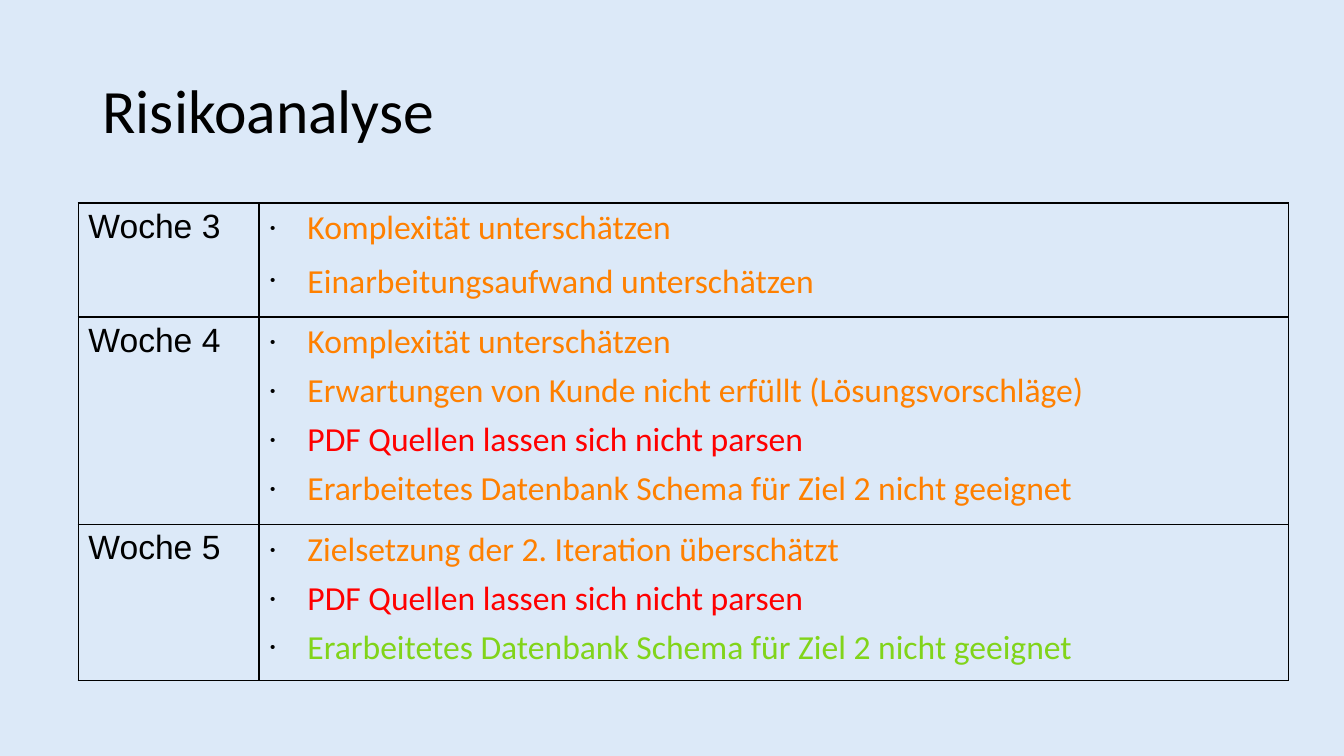
from lxml.etree import SubElement
from pptx import Presentation
from pptx.dml.color import RGBColor
from pptx.enum.text import MSO_ANCHOR, PP_ALIGN
from pptx.oxml.ns import qn
from pptx.util import Pt

BLACK = RGBColor(0x00, 0x00, 0x00)
PALE_BLUE = RGBColor(0xDC, 0xE9, 0xF8)
ORANGE = RGBColor(0xFF, 0x80, 0x00)
RED = RGBColor(0xFF, 0x00, 0x00)
GREEN = RGBColor(0x81, 0xD4, 0x1A)

TITLE_ONLY = 5
COLUMN_WIDTHS = (129, 735.5)
ROW_HEIGHTS = (81.4, 148.3, 111.6)
LABEL_BORDERS = {"lnL": 1.13, "lnR": 0.96, "lnT": 1.13, "lnB": 1.13}
RISK_BORDERS = dict.fromkeys(LABEL_BORDERS, 0.96)

RISK_FORMAT = {"space_before": Pt(2.8), "space_after": Pt(2.8)}
JUSTIFIED = {**RISK_FORMAT, "alignment": PP_ALIGN.JUSTIFY}
JUSTIFIED_LOOSE = {**JUSTIFIED, "space_before": Pt(7.8), "line_spacing": 0.9}

WEEKS = {
    "Woche 3": [
        ("Komplexität unterschätzen", ORANGE, JUSTIFIED),
        ("Einarbeitungsaufwand unterschätzen", ORANGE, JUSTIFIED_LOOSE),
    ],
    "Woche 4": [
        ("Komplexität unterschätzen", ORANGE, RISK_FORMAT),
        ("Erwartungen von Kunde nicht erfüllt (Lösungsvorschläge)", ORANGE, RISK_FORMAT),
        ("PDF Quellen lassen sich nicht parsen", RED, RISK_FORMAT),
        ("Erarbeitetes Datenbank Schema für Ziel 2 nicht geeignet", ORANGE, RISK_FORMAT),
    ],
    "Woche 5": [
        ("Zielsetzung der 2. Iteration überschätzt", ORANGE, RISK_FORMAT),
        ("PDF Quellen lassen sich nicht parsen", RED, RISK_FORMAT),
        ("Erarbeitetes Datenbank Schema für Ziel 2 nicht geeignet", GREEN, RISK_FORMAT),
    ],
}


def set_attributes(target, values):
    for name, value in values.items():
        setattr(target, name, value)


class SlideBuilder:
    heading_font = "Calibri"
    label_font = "Arial"
    title_size = Pt(44)
    text_size = Pt(24)

    def __init__(self, presentation):
        self.slide = presentation.slides.add_slide(presentation.slide_layouts[TITLE_ONLY])
        fill = self.slide.background.fill
        fill.solid()
        fill.fore_color.rgb = PALE_BLUE

    def add_text(self, paragraph, text, font_name, size, color, paragraph_format):
        set_attributes(paragraph, paragraph_format)
        run = paragraph.add_run()
        run.text = text
        set_attributes(run.font, {"name": font_name, "size": size})
        run.font.color.rgb = color

    def title(self, text, left, top, width, height):
        shape = self.slide.shapes.title
        set_attributes(shape, {"left": Pt(left), "top": Pt(top),
                               "width": Pt(width), "height": Pt(height)})
        shape.text_frame.vertical_anchor = MSO_ANCHOR.MIDDLE
        self.add_text(shape.text_frame.paragraphs[0], text, self.heading_font, self.title_size,
                      BLACK, {"alignment": PP_ALIGN.LEFT, "line_spacing": 0.9})

    def bullet(self, paragraph):
        properties = paragraph._p.get_or_add_pPr()
        properties.set("marL", str(Pt(27.4)))
        properties.set("indent", str(Pt(-26.6)))
        color = SubElement(properties, qn("a:buClr"))
        SubElement(color, qn("a:srgbClr"), val=str(BLACK))
        SubElement(properties, qn("a:buSzPct"), val="45000")
        SubElement(properties, qn("a:buFont"), typeface=self.label_font)
        SubElement(properties, qn("a:buChar"), char="•")

    def frame_cell(self, cell, borders):
        """Draw the cell's four borders and leave its fill clear."""
        properties = cell._tc.get_or_add_tcPr()
        for side, width in borders.items():
            line = SubElement(properties, qn(f"a:{side}"), w=str(Pt(width)))
            fill = SubElement(line, qn("a:solidFill"))
            SubElement(fill, qn("a:srgbClr"), val=str(BLACK))
        cell.fill.background()

    def risk_table(self, weeks, left, top):
        table = self.slide.shapes.add_table(
            len(weeks), len(COLUMN_WIDTHS), Pt(left), Pt(top),
            Pt(sum(COLUMN_WIDTHS)), Pt(sum(ROW_HEIGHTS))).table
        set_attributes(table, {"first_row": False, "horz_banding": False})
        for column, width in zip(table.columns, COLUMN_WIDTHS):
            column.width = Pt(width)
        for row, height, (week, risks) in zip(table.rows, ROW_HEIGHTS, weeks.items()):
            row.height = Pt(height)
            label_cell, risk_cell = row.cells
            self.frame_cell(label_cell, LABEL_BORDERS)
            self.frame_cell(risk_cell, RISK_BORDERS)
            self.add_text(label_cell.text_frame.paragraphs[0], week, self.label_font,
                          self.text_size, BLACK, {})
            frame = risk_cell.text_frame
            for index, (text, color, paragraph_format) in enumerate(risks):
                paragraph = frame.add_paragraph() if index else frame.paragraphs[0]
                self.add_text(paragraph, text, self.heading_font, self.text_size,
                              color, paragraph_format)
                self.bullet(paragraph)


def main():
    presentation = Presentation()
    set_attributes(presentation, {"slide_width": Pt(960), "slide_height": Pt(540)})
    builder = SlideBuilder(presentation)
    builder.title("Risikoanalyse", 66, 28.8, 828, 104.4)
    builder.risk_table(WEEKS, 56, 145)
    presentation.save("out.pptx")


if __name__ == "__main__":
    main()
